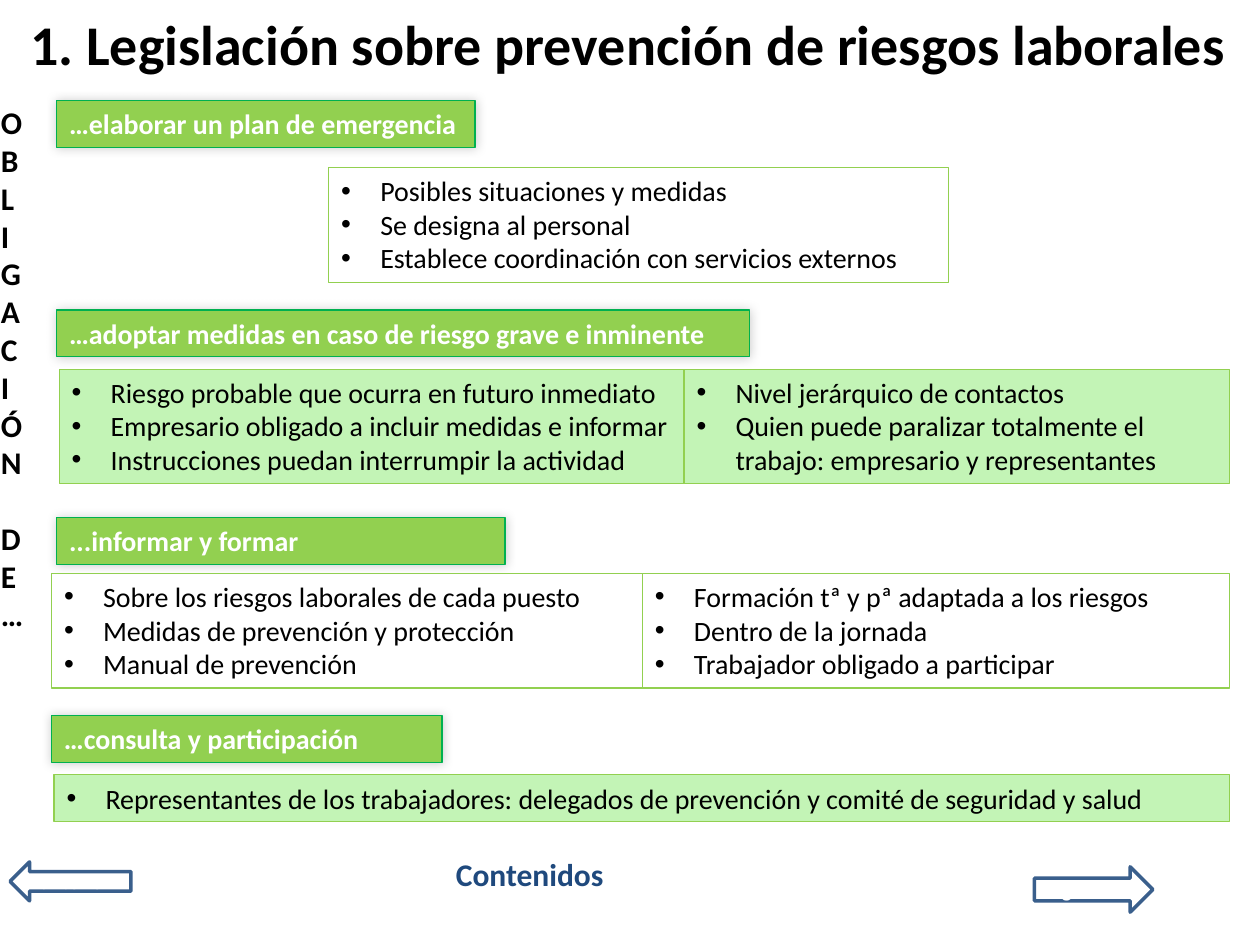
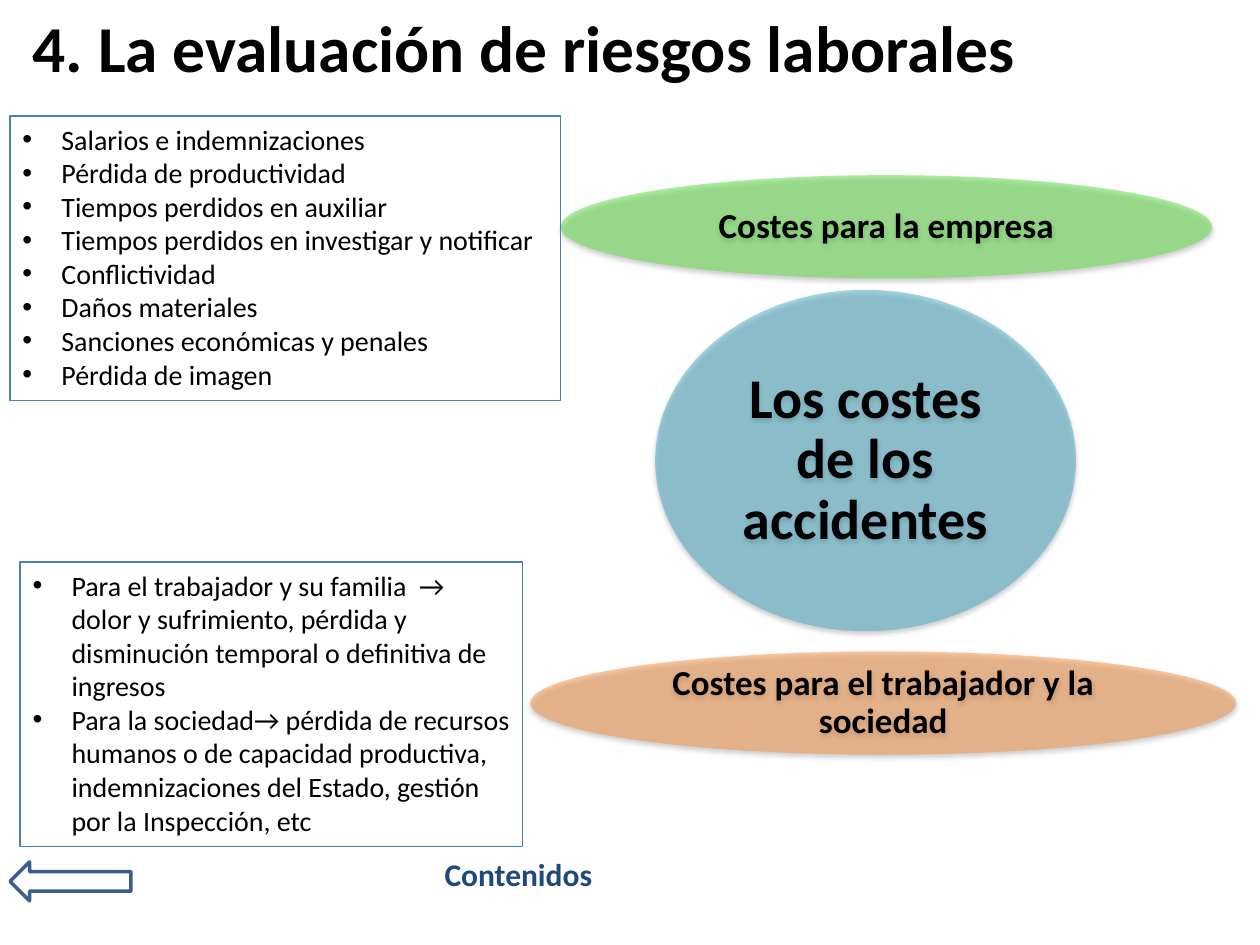
import dataclasses
import pptx
import pptx.util
import pptx.dml.color
import pptx.enum.shapes
import pptx.enum.text
import pptx.oxml
import pptx.oxml.ns
import lxml.etree

Kind = pptx.enum.shapes.MSO_SHAPE
Align = pptx.enum.text.PP_ALIGN
Anchor = pptx.enum.text.MSO_ANCHOR
qn = pptx.oxml.ns.qn


@dataclasses.dataclass(frozen=True)
class Theme:
    font: str = "Calibri"
    ink: str = "000000"
    white: str = "FFFFFF"
    navy: str = "1F497D"
    steel: str = "3A5F8C"
    blue: str = "4B7EBC"
    lime: str = "92D050"
    green: str = "00B050"
    mint: str = "C3F4B6"
    teal: str = "4BACC6"
    leaf: str = "60E146"
    orange: str = "F79646"
    head: float = 32
    large: float = 37.4
    body: float = 16
    link: float = 18
    oval: float = 20
    tiny: float = 12
    thin: float = 0.75
    thick: float = 2


class Deck:
    cols, rows = 100, 75

    def __init__(self, theme):
        self.theme = theme
        self.file = pptx.Presentation()
        self.file.slide_width = pptx.util.Inches(10)
        self.file.slide_height = pptx.util.Inches(7.5)
        self.slide = None

    def place(self, box):
        wide = self.file.slide_width / self.cols
        high = self.file.slide_height / self.rows
        x, y, w, h = box
        return [round(n) for n in (x * wide, y * high, w * wide, h * high)]

    def paint(self, hue):
        return pptx.dml.color.RGBColor.from_string(hue)

    def fill_text(self, frame, lines, size, hue=None, bold=False,
                  align=Align.LEFT, anchor=Anchor.TOP, bullet=False):
        frame.word_wrap = True
        frame.vertical_anchor = anchor
        for i, line in enumerate(lines):
            para = frame.paragraphs[0] if i == 0 else frame.add_paragraph()
            para.text = line
            para.alignment = align
            if bullet:
                self.dot(para)
            font = para.font
            font.name, font.size, font.bold = self.theme.font, pptx.util.Pt(size), bold
            font.color.rgb = self.paint(hue or self.theme.ink)

    def dot(self, para):
        props = para._p.get_or_add_pPr()
        indent = pptx.util.Inches(0.31)
        props.set("marL", str(indent))
        props.set("indent", str(-indent))
        lxml.etree.SubElement(props, qn("a:buFont")).set("typeface", "Arial")
        lxml.etree.SubElement(props, qn("a:buChar")).set("char", "•")

    def shade(self, shape, alpha, blur, dist, angle):
        shape.shadow.inherit = False
        effects = shape._element.spPr.find(qn("a:effectLst"))
        glow = lxml.etree.SubElement(effects, qn("a:outerShdw"))
        glow.set("blurRad", str(pptx.util.Pt(blur)))
        glow.set("dist", str(pptx.util.Pt(dist)))
        glow.set("dir", str(angle * 60000))
        glow.set("rotWithShape", "0")
        tint = lxml.etree.SubElement(glow, qn("a:srgbClr"))
        tint.set("val", self.theme.ink)
        lxml.etree.SubElement(tint, qn("a:alpha")).set("val", str(alpha * 1000))

    def shape(self, kind, box, fill=None, line=None, width=None):
        item = self.slide.shapes.add_shape(kind, *self.place(box))
        item.shadow.inherit = False
        if fill:
            item.fill.solid()
            item.fill.fore_color.rgb = self.paint(fill)
        else:
            item.fill.background()
        if line:
            item.line.color.rgb = self.paint(line)
            item.line.width = pptx.util.Pt(width or self.theme.thin)
        else:
            item.line.fill.background()
        return item

    def page(self, title, box, size):
        self.slide = self.file.slides.add_slide(self.file.slide_layouts[5])
        head = self.slide.shapes.title
        head.left, head.top, head.width, head.height = self.place(box)
        self.fill_text(head.text_frame, [title], size, bold=True, anchor=Anchor.MIDDLE)

    def text(self, words, box, hue=None):
        item = self.slide.shapes.add_textbox(*self.place(box))
        self.fill_text(item.text_frame, [words], self.theme.link, hue, bold=True)
        return item

    def side(self, words, box):
        item = self.text(words, box)
        item.text_frame._txBody.bodyPr.set("vert", "wordArtVert")

    def arrow(self, kind, words, box):
        item = self.shape(kind, box, line=self.theme.steel, width=self.theme.thick)
        self.fill_text(item.text_frame, [words], self.theme.tiny, self.theme.white,
                       True, Align.CENTER, Anchor.MIDDLE)

    def foot(self, left):
        self.text("Contenidos", (left, 67.4, 14.4, 4), self.theme.navy)
        self.arrow(Kind.LEFT_ARROW, "anterior", (0.8, 68.4, 9.6, 3.1))

    def label(self, words, x, y, w):
        item = self.shape(Kind.RECTANGLE, (x, y, w, 3.7), self.theme.lime, self.theme.green)
        self.shade(item, 20, 6, 0, 225)
        self.fill_text(item.text_frame, [words], self.theme.body, self.theme.white, True)

    def notes(self, lines, box, fill=None, line=None):
        item = self.shape(Kind.RECTANGLE, box, fill, line or self.theme.lime)
        self.fill_text(item.text_frame, lines, self.theme.body, bullet=True)

    def oval(self, words, box, hue, size):
        item = self.shape(Kind.OVAL, box, hue)
        tint = item._element.spPr.find(qn("a:solidFill"))[0]
        lxml.etree.SubElement(tint, qn("a:alpha")).set("val", "50000")
        self.shade(item, 38, 3.1, 1.6, 90)
        frame = item.text_frame
        inset = pptx.util.Inches(0.04)
        frame.margin_left = frame.margin_right = inset
        frame.margin_top = frame.margin_bottom = inset
        self.fill_text(frame, [words], size, bold=True, align=Align.CENTER,
                       anchor=Anchor.MIDDLE)
        frame.paragraphs[0].line_spacing = 0.9


theme = Theme()
deck = Deck(theme)

deck.page("1. Legislación sobre prevención de riesgos laborales",
          (1.4, 0.3, 98.6, 6.3), theme.head)
deck.foot(35.2)
deck.arrow(Kind.RIGHT_ARROW, "siguiente", (82.1, 68.8, 9.4, 3.6))
deck.side("OBLIGACIÓN DE…", (-0.9, 7.7, 5.6, 56.9))
for words, x, y, w in (
    ("…elaborar un plan de emergencia", 4.5, 8, 33.2),
    ("…adoptar medidas en caso de riesgo grave e inminente", 4.5, 24.6, 55),
    ("...informar y formar", 4.5, 41.1, 35.6),
    ("…consulta y participación", 4.1, 56.8, 31),
):
    deck.label(words, x, y, w)
for lines, box, fill in (
    (["Posibles situaciones y medidas",
      "Se designa al personal",
      "Establece coordinación con servicios externos"],
     (26.1, 13.3, 49.2, 9.1), None),
    (["Riesgo probable que ocurra en futuro inmediato",
      "Empresario obligado a incluir medidas e informar",
      "Instrucciones puedan interrumpir la actividad"],
     (4.7, 29.3, 49.9, 9.1), theme.mint),
    (["Nivel jerárquico de contactos",
      "Quien puede paralizar totalmente el trabajo: empresario y representantes"],
     (54.3, 29.3, 43.3, 9.1), theme.mint),
    (["Sobre los riesgos laborales de cada puesto",
      "Medidas de prevención y protección",
      "Manual de prevención"],
     (4.1, 45.5, 46.9, 9.1), None),
    (["Formación tª y pª adaptada a los riesgos",
      "Dentro de la jornada",
      "Trabajador obligado a participar"],
     (51, 45.5, 46.6, 9.1), None),
    (["Representantes de los trabajadores: delegados de prevención "
      "y comité de seguridad y salud"],
     (4.3, 61.5, 93.3, 3.7), theme.mint),
):
    deck.notes(lines, box, fill)

deck.page("4. La evaluación de riesgos laborales", (1.6, 0.5, 90, 6.3), theme.large)
deck.foot(34.3)
deck.oval("Los costes de los accidentes", (52, 23, 33.4, 27.1), theme.teal, theme.head)
deck.oval("Costes para la empresa", (44.5, 13.9, 51.7, 8.2), theme.leaf, theme.oval)
deck.oval("Costes para el trabajador y la sociedad", (42.1, 51.7, 56, 8.2),
          theme.orange, theme.oval)
deck.notes(["Salarios e indemnizaciones",
            "Pérdida de productividad",
            "Tiempos perdidos en auxiliar",
            "Tiempos perdidos en investigar y notificar",
            "Conflictividad",
            "Daños materiales",
            "Sanciones económicas y penales",
            "Pérdida de imagen"],
           (0.8, 9.2, 43.7, 22.6), line=theme.blue)
deck.notes(["Para el trabajador y su familia  → dolor y sufrimiento, pérdida y "
            "disminución temporal o definitiva de ingresos",
            "Para la sociedad→ pérdida de recursos humanos o de capacidad productiva, "
            "indemnizaciones del Estado, gestión por la Inspección, etc"],
           (1.6, 44.6, 39.9, 22.6), line=theme.blue)

deck.file.save("out.pptx")
